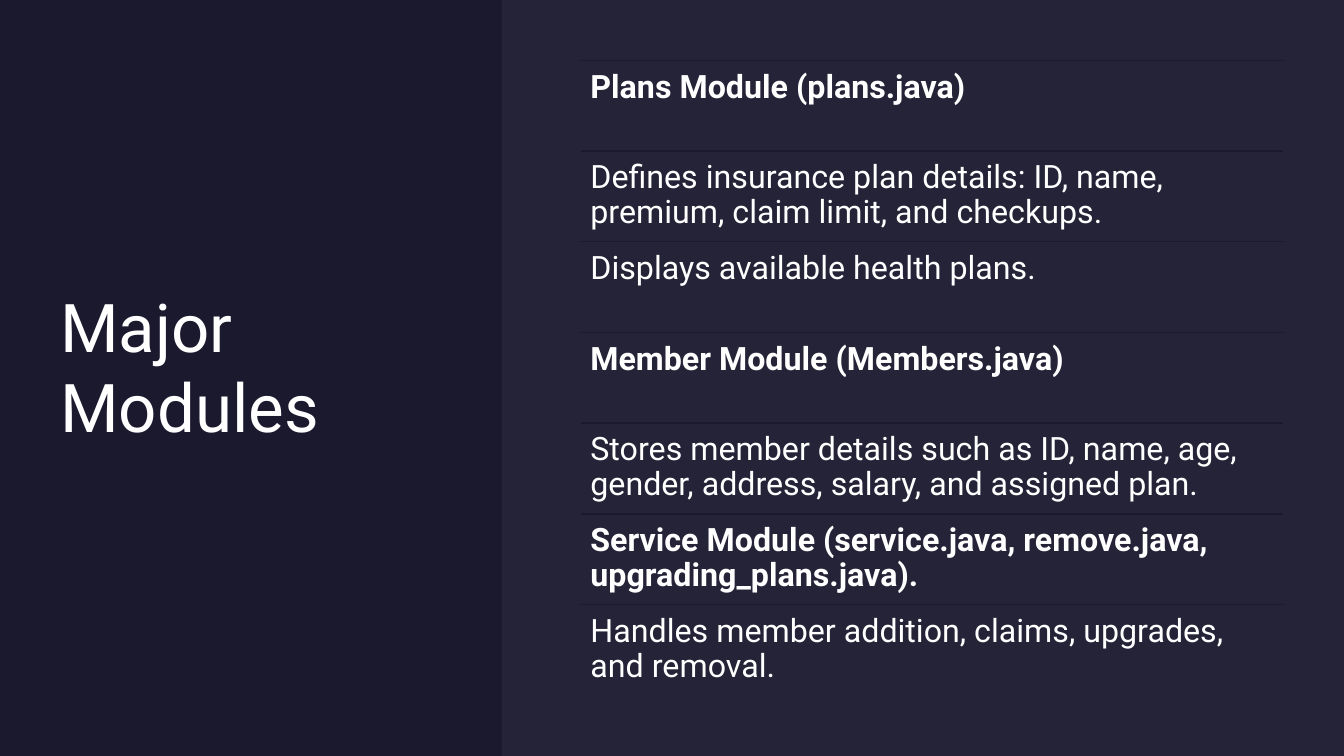
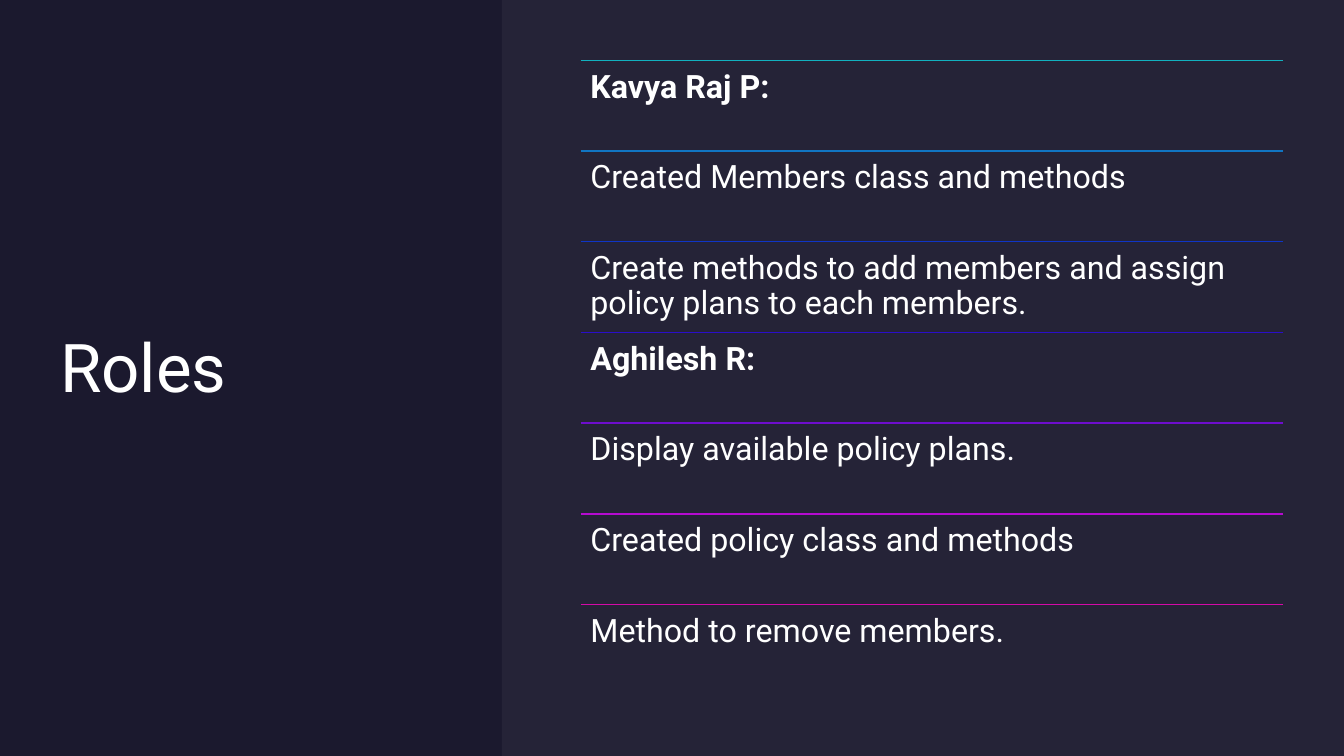
from typing import Any, NamedTuple

from lxml.etree import SubElement
from pptx import Presentation
from pptx.dml.color import RGBColor
from pptx.enum.shapes import MSO_CONNECTOR, MSO_SHAPE
from pptx.enum.text import MSO_ANCHOR, MSO_AUTO_SIZE, PP_ALIGN
from pptx.oxml.ns import qn
from pptx.util import Cm, Pt

# Shared theme, lengths in cm
NAVY, MIST, WHITE = "1B192E", "E4E3F0", "FFFFFF"
FONT = "Roboto"
WIDE, HIGH = 33.87, 19.05
EDGE = 1.52
SPLIT = 12.65
LEFT, SPAN = 14.63, 17.7
DEPTH = 16


class Row(NamedTuple):
    text: str
    line: str = NAVY
    bold: bool = False


class Page(NamedTuple):
    title: str
    rows: list[Row]


PAGES = [
    Page("Major Modules", [
        Row("Plans Module (plans.java)", bold=True),
        Row("Defines insurance plan details: ID, name, premium, claim limit, and checkups."),
        Row("Displays available health plans."),
        Row("Member Module (Members.java)", bold=True),
        Row("Stores member details such as ID, name, age, gender, address, salary, "
            "and assigned plan."),
        Row("Service Module (service.java, remove.java, upgrading_plans.java).", bold=True),
        Row("Handles member addition, claims, upgrades, and removal."),
    ]),
    Page("Roles", [
        Row("Kavya Raj P:", "12B1BF", True),
        Row("Created Members class and methods", "1175C2"),
        Row("Create methods to add members and assign policy plans to each members.",
            "0F35C6"),
        Row("Aghilesh R:", "2A0EC9", True),
        Row("Display available policy plans.", "6E0DCD"),
        Row("Created policy class and methods", "B50BD0"),
        Row("Method to remove members.", "D40AA8"),
    ]),
]


def paint(target: Any, tone: str) -> None:
    """Give a fill one solid colour."""
    target.solid()
    target.fore_color.rgb = RGBColor.from_string(tone)


def apply(target: Any, form: dict[str, Any]) -> None:
    for name, value in form.items():
        setattr(target, name, value)


def write(shape: Any, text: str, size: int, inset: float, anchor: Any,
          bold: bool = False, form: dict[str, Any] | None = None) -> None:
    """Put one left-aligned paragraph in a shape."""
    frame = shape.text_frame
    sides = ("left", "top", "right", "bottom")
    apply(frame, {f"margin_{side}": Cm(inset) for side in sides})
    apply(frame, {"word_wrap": True, "auto_size": MSO_AUTO_SIZE.NONE,
                  "vertical_anchor": anchor})
    para = frame.paragraphs[0]
    apply(para, {"alignment": PP_ALIGN.LEFT, **(form or {})})
    run = para.add_run()
    run.text = text
    apply(run.font, {"name": FONT, "size": Pt(size), "bold": bold})
    paint(run.font.fill, WHITE)


def head(slide: Any, text: str) -> None:
    title = slide.shapes.title
    apply(title, {"left": Cm(EDGE), "top": Cm(EDGE),
                  "width": Cm(9.91), "height": Cm(15.39)})
    write(title, text, 48, 0, MSO_ANCHOR.MIDDLE)


def panel(slide: Any) -> None:
    """Draw the faint light panel on the right."""
    veil = slide.shapes.add_shape(MSO_SHAPE.RECTANGLE, Cm(SPLIT), 0,
                                  Cm(WIDE - SPLIT), Cm(HIGH))
    veil.shadow.inherit = False
    veil.line.fill.background()
    paint(veil.fill, MIST)
    tone = veil.fill._xPr.find(f".//{qn('a:srgbClr')}")
    SubElement(tone, qn("a:alpha"), val="5000")


def rule(group: Any, top: float, tone: str) -> None:
    line = group.shapes.add_connector(MSO_CONNECTOR.STRAIGHT, Cm(LEFT), Cm(top),
                                      Cm(LEFT + SPAN), Cm(top))
    line.line.width = Pt(1)
    paint(line.line.fill, tone)
    SubElement(line._element.spPr, qn("a:effectLst"))


def ladder(slide: Any, rows: list[Row]) -> None:
    """Stack equal rows, each under its own rule."""
    group = slide.shapes.add_group_shape()
    step = DEPTH / len(rows)
    form = {"line_spacing": 0.9, "space_after": Pt(8)}
    for i, row in enumerate(rows):
        top = EDGE + i * step
        rule(group, top, row.line)
        box = group.shapes.add_textbox(Cm(LEFT), Cm(top), Cm(SPAN), Cm(step))
        write(box, row.text, 23, 0.25, MSO_ANCHOR.TOP, row.bold, form)


def main() -> None:
    deck = Presentation()
    apply(deck, {"slide_width": Cm(WIDE), "slide_height": Cm(HIGH)})
    paint(deck.slide_master.background.fill, NAVY)
    for page in PAGES:
        slide = deck.slides.add_slide(deck.slide_layouts[5])
        head(slide, page.title)
        panel(slide)
        ladder(slide, page.rows)
    deck.save("out.pptx")


if __name__ == "__main__":
    main()
